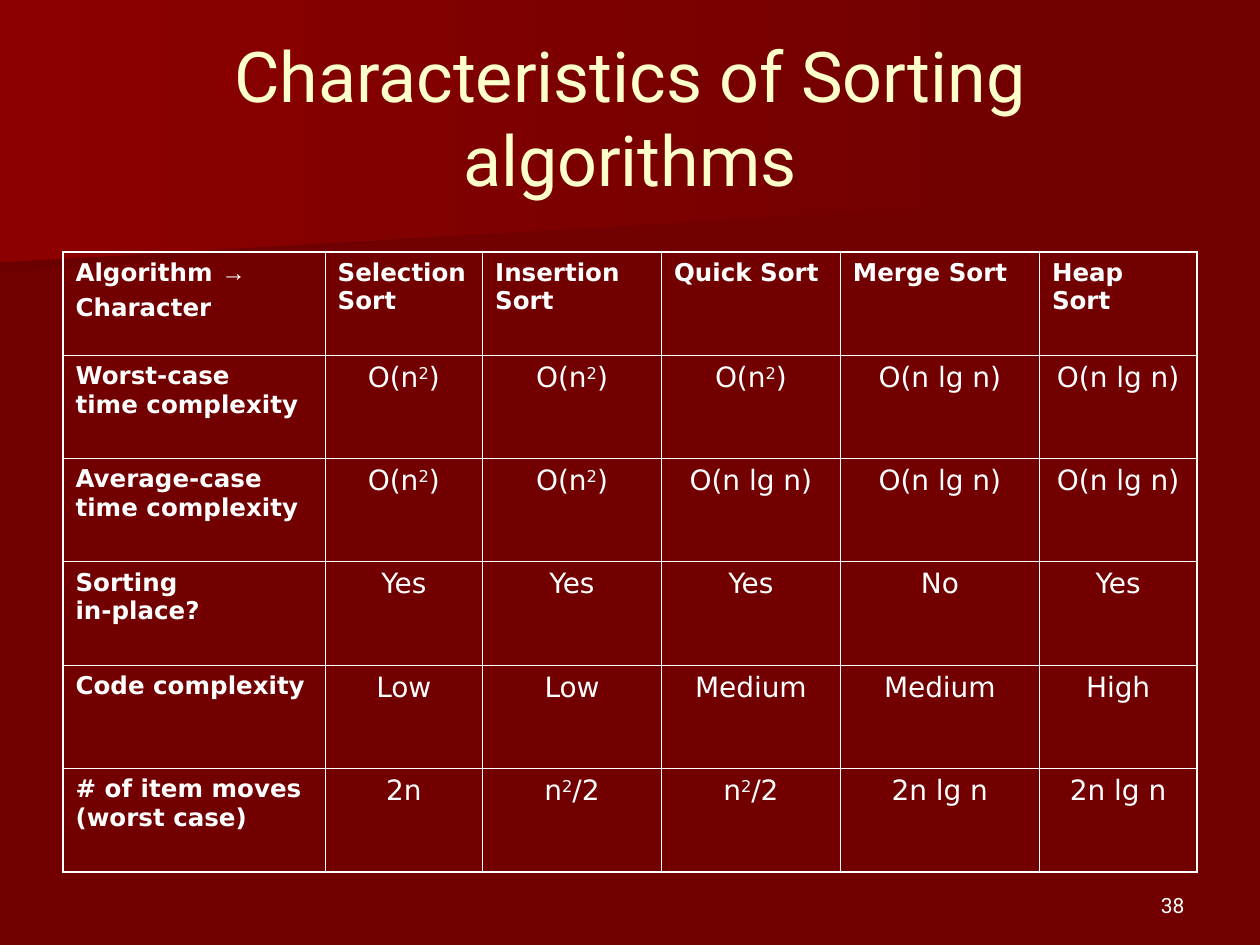
from itertools import groupby

from lxml import etree
from pptx import Presentation
from pptx.dml.color import RGBColor
from pptx.enum.text import MSO_ANCHOR, MSO_AUTO_SIZE, PP_ALIGN
from pptx.oxml.ns import qn
from pptx.util import Inches, Pt

LEFT, CENTER, RIGHT = PP_ALIGN.LEFT, PP_ALIGN.CENTER, PP_ALIGN.RIGHT
MIDDLE, BOTTOM = MSO_ANCHOR.MIDDLE, MSO_ANCHOR.BOTTOM
NO_AUTOFIT = MSO_AUTO_SIZE.NONE

DARK_RED = RGBColor(0x72, 0x00, 0x00)
SHADE_RED = RGBColor(0x6A, 0x00, 0x00)
BRIGHT_RED = RGBColor(0x8C, 0x00, 0x00)
CREAM = RGBColor(0xFF, 0xFF, 0xCC)
WHITE = RGBColor(0xFF, 0xFF, 0xFF)

HEADING = {"name": "DejaVu Sans", "size": Pt(14), "bold": True}
VALUE = {"name": "DejaVu Sans", "size": Pt(16), "bold": False}
TITLE = {"name": "Roboto", "size": Pt(40)}
NUMBER = {"name": "Roboto", "size": Pt(12)}

OUTER, INNER = Pt(1.08), Pt(0.45)
COLUMN_WIDTHS = [2.08, 1.25, 1.42, 1.42, 1.58, 1.25]

# "\n" starts a paragraph, "\v" breaks a line, "²" is a raised 2
ROWS = [
    ["Algorithm →\nCharacter", "Selection Sort", "Insertion Sort",
     "Quick Sort", "Merge Sort", "Heap Sort"],
    ["Worst-case\vtime complexity", "O(n²)", "O(n²)", "O(n²)",
     "O(n lg n)", "O(n lg n)"],
    ["Average-case time complexity", "O(n²)", "O(n²)", "O(n lg n)",
     "O(n lg n)", "O(n lg n)"],
    ["Sorting\vin-place?", "Yes", "Yes", "Yes", "No", "Yes"],
    ["Code complexity", "Low", "Low", "Medium", "Medium", "High"],
    ["# of item moves (worst case)", "2n", "n²/2", "n²/2",
     "2n lg n", "2n lg n"],
]

SWOOSHES = [
    ([(7.78, 1.53), (0, 2.17), (0, 1.01), (7.79, 1.01)], SHADE_RED),
    ([(7.92, 1.62), (0, 2.08), (0, 0), (7.92, 0)], BRIGHT_RED),
]


def set_font(font, style, color):
    for key, value in style.items():
        setattr(font, key, value)
    font.color.rgb = color


def add_runs(p, text, style):
    """Split text at its special symbols and give each piece its format."""
    for symbol, chars in groupby(text, lambda c: c if c in "²→\v" else ""):
        if symbol == "\v":
            p.add_line_break()
            continue
        r = p.add_run()
        r.text = "2" if symbol == "²" else "".join(chars)
        set_font(r.font, style, WHITE)
        if symbol == "²":
            r.font._element.set("baseline", "30000")
        elif symbol == "→":
            r.font.name = "Arial"


def add_background(s):
    s.background.fill.solid()
    s.background.fill.fore_color.rgb = DARK_RED
    for points, color in SWOOSHES:
        start, *rest = [(Inches(x), Inches(y)) for x, y in points]
        builder = s.shapes.build_freeform(*start)
        builder.add_line_segments(rest)
        sp = builder.convert_to_shape()
        sp.shadow.inherit = False
        sp.line.fill.background()
        sp.fill.gradient()
        sp.fill.gradient_angle = 180
        for stop, stop_color in zip(sp.fill.gradient_stops, (DARK_RED, color)):
            stop.color.rgb = stop_color
        s.shapes.title._element.addprevious(sp._element)


def add_title(s, text, left, top, width, height):
    sp = s.shapes.title
    sp.left, sp.top, sp.width, sp.height = left, top, width, height
    tf = sp.text_frame
    tf.text = text
    tf.word_wrap = True
    tf.auto_size = NO_AUTOFIT
    tf.vertical_anchor = MIDDLE
    p = tf.paragraphs[0]
    p.alignment = CENTER
    set_font(p.runs[0].font, TITLE, CREAM)


def set_borders(cell, widths):
    tcPr = cell._tc.get_or_add_tcPr()
    for side, width in widths.items():
        ln = etree.SubElement(tcPr, qn(f"a:ln{side}"), w=str(int(width)))
        fill = etree.SubElement(ln, qn("a:solidFill"))
        etree.SubElement(fill, qn("a:srgbClr"), val=str(WHITE))


def fill_cell(cell, text, is_heading):
    for i, line in enumerate(text.split("\n")):
        tf = cell.text_frame
        p = tf.add_paragraph() if i else tf.paragraphs[0]
        if i:
            p.space_before = Pt(3.5)
        p.alignment = LEFT if is_heading else CENTER
        add_runs(p, line, HEADING if is_heading else VALUE)


def add_comparison_table(s, left, top, width, height):
    n_rows, n_cols = len(ROWS), len(COLUMN_WIDTHS)
    table = s.shapes.add_table(n_rows, n_cols, left, top, width, height).table
    table.first_row = table.horz_banding = False
    for column, column_width in zip(table.columns, COLUMN_WIDTHS):
        column.width = Inches(column_width)
    for i, row in enumerate(ROWS):
        for j, text in enumerate(row):
            cell = table.cell(i, j)
            fill_cell(cell, text, i == 0 or j == 0)
            set_borders(cell, {
                "L": OUTER if j == 0 else INNER,
                "R": OUTER if j == n_cols - 1 else INNER,
                "T": OUTER if i == 0 else INNER,
                "B": OUTER if i == n_rows - 1 else INNER,
            })
            cell.fill.background()


def add_slide_number(s, text, left, top, width, height):
    tf = s.shapes.add_textbox(left, top, width, height).text_frame
    tf.word_wrap = True
    tf.vertical_anchor = BOTTOM
    p = tf.paragraphs[0]
    p.alignment = RIGHT
    add_runs(p, text, NUMBER)


def main():
    prs = Presentation()
    prs.slide_width, prs.slide_height = Inches(10), Inches(7.5)
    s = prs.slides.add_slide(prs.slide_layouts[5])
    add_background(s)
    add_title(s, "Characteristics of Sorting algorithms",
              Inches(0.5), Inches(0.3), Inches(9), Inches(1.25))
    add_comparison_table(s, Inches(0.5), Inches(2), Inches(9), Inches(4.92))
    add_slide_number(s, "38",
                     Inches(7.17), Inches(6.83), Inches(2.33), Inches(0.5))
    prs.save("out.pptx")


if __name__ == "__main__":
    main()
